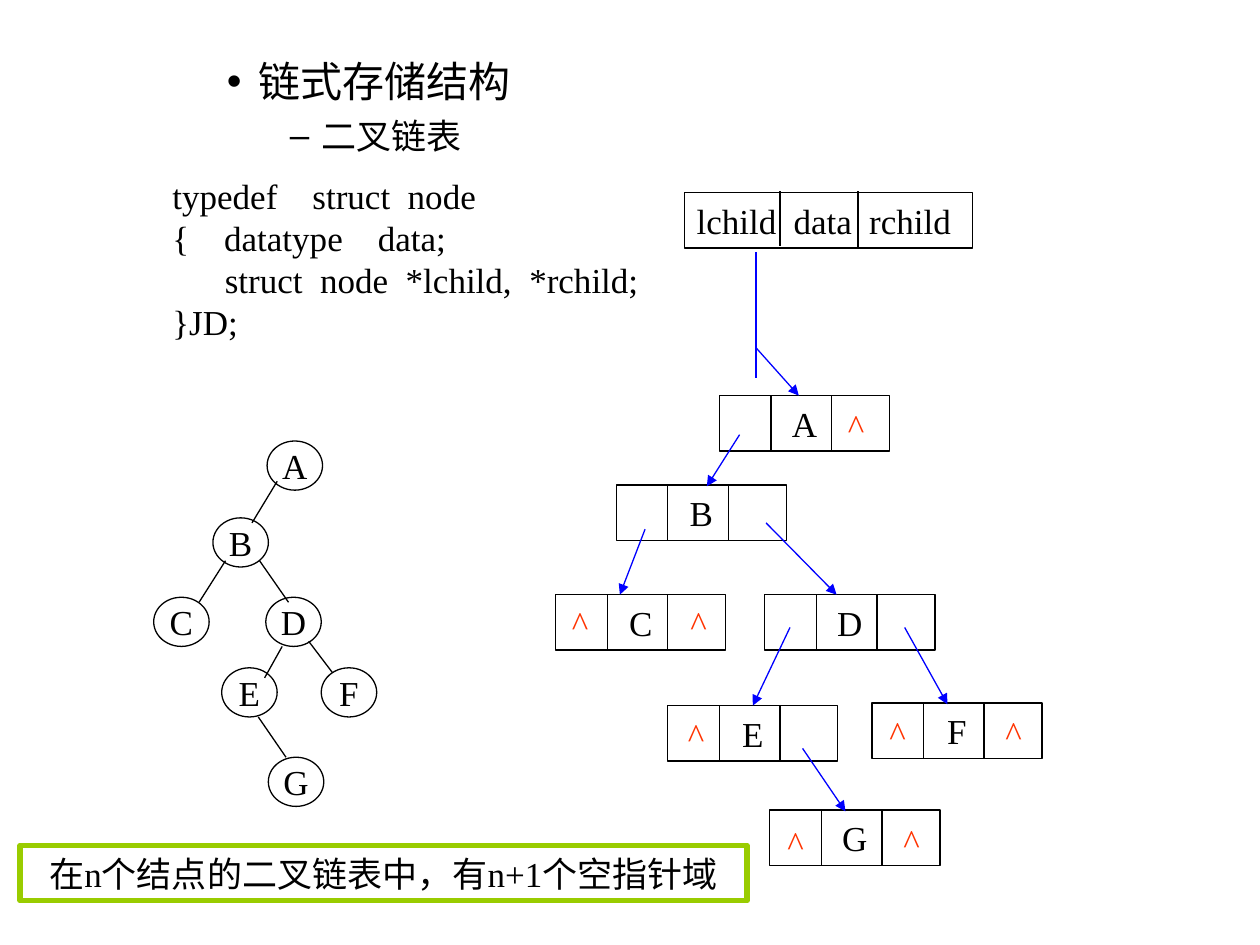
import pptx
import pptx.util
import pptx.dml.color
import pptx.enum.shapes
import pptx.enum.text
import pptx.oxml.ns
from lxml import etree

Inches, Pt = pptx.util.Inches, pptx.util.Pt
SHAPE = pptx.enum.shapes.MSO_SHAPE
ALIGN = pptx.enum.text.PP_ALIGN
qn = pptx.oxml.ns.qn
BLACK, BLUE, RED, GREEN = "000000", "0000FF", "FF3300", "99CC00"
SERIF = "Times New Roman"

# Content: (text, level, size, bullet, left margin, space before)
OUTLINE = [("链式存储结构", 2, 24, "•", 1.25, 0),
           ("二叉链表", 3, 20, "–", 1.75, 5)]
CODE = ["typedef    struct  node",
        "{    datatype    data;",
        "      struct  node  *lchild,  *rchild;",
        "}JD;"]
FIELDS = ["lchild", "data", "rchild"]
FIELD_TABS = [0.77, 1.37]
CONCLUSION = "在n个结点的二叉链表中，有n+1个空指针域"

# Binary tree: left and top of each circle, then the edges
TREE = {"A": (2.12, 3.5), "B": (1.69, 4.11), "C": (1.22, 4.74), "D": (2.11, 4.74),
        "E": (1.76, 5.3), "F": (2.55, 5.3), "G": (2.13, 6.01)}
EDGES = [(2.2, 3.82, 2, 4.15), (1.79, 4.45, 1.58, 4.78), (2.06, 4.45, 2.29, 4.78),
         (2.24, 5.13, 2.1, 5.38), (2.45, 5.09, 2.64, 5.34), (2.05, 5.69, 2.27, 6.01)]

# Linked list: left and top of each record, then offsets of its null marks
RECORD_W, RECORD_H = 1.35, 0.44
DIVIDERS = (0.41, 0.89)
RECORDS = {"A": (5.71, 3.14, [(0.92, 0.02)]),
           "B": (4.89, 3.85, []),
           "C": (4.41, 4.72, [(0.03, 0), (0.97, 0)]),
           "D": (6.07, 4.72, []),
           "E": (5.3, 5.6, [(0.06, 0.01)]),
           "F": (6.92, 5.58, [(0.04, 0.01), (0.96, 0.01)]),
           "G": (6.11, 6.43, [(0.04, 0.04), (0.96, 0.02)])}
POINTERS = {"A": (6, 2.76, 6.34, 3.14), "B": (5.87, 3.45, 5.61, 3.86),
            "C": (5.12, 4.2, 4.92, 4.72), "D": (6.08, 4.15, 6.64, 4.72),
            "E": (6.27, 4.98, 5.96, 5.59), "F": (7.18, 4.98, 7.52, 5.59),
            "G": (6.37, 5.94, 6.71, 6.44)}
ROOT_CURVE = [[(6.02, 2.37), (6.06, 2.43), (6.1, 2.49), (6.1, 2.56)],
              [(6.1, 2.56), (6.09, 2.62), (6.01, 2.73), (5.98, 2.76)]]

prs = pptx.Presentation()
prs.slide_width, prs.slide_height = Inches(10), Inches(7.5)
slide = prs.slides.add_slide(prs.slide_layouts[1])


def rgb(color):
    return pptx.dml.color.RGBColor.from_string(color)


def add_run(paragraph, text, size=20, color=BLACK, font=SERIF):
    run = paragraph.add_run()
    run.text = text
    run.font.size, run.font.name = Pt(size), font
    run.font.color.rgb = rgb(color)


def write(shape, lines, color=BLACK, align=ALIGN.CENTER):
    frame = shape.text_frame
    frame.word_wrap = False
    frame.vertical_anchor = pptx.enum.text.MSO_ANCHOR.MIDDLE
    for i, line in enumerate(lines):
        paragraph = frame.add_paragraph() if i else frame.paragraphs[0]
        paragraph.alignment = align
        add_run(paragraph, line, color=color)


def add_text(box, lines, color=BLACK, align=ALIGN.CENTER):
    write(slide.shapes.add_textbox(*map(Inches, box)), lines, color, align)


def outline(shape, color, width):
    shape.shadow.inherit = False
    shape.fill.background()
    shape.line.color.rgb = rgb(color)
    shape.line.width = Pt(width)


def add_box(kind, box, text, color=BLACK, width=0.75, align=ALIGN.CENTER):
    shape = slide.shapes.add_shape(kind, *map(Inches, box))
    outline(shape, color, width)
    write(shape, [text], align=align)
    return shape


def add_line(ends, color=BLACK, arrow=False):
    line = slide.shapes.add_connector(
        pptx.enum.shapes.MSO_CONNECTOR.STRAIGHT, *map(Inches, ends))
    line.line.color.rgb = rgb(color)
    line.line.width = Pt(0.75)
    if arrow:
        etree.SubElement(line.line._get_or_add_ln(), qn("a:tailEnd"), type="triangle")
    etree.SubElement(line._element.spPr, qn("a:effectLst"))
    return line


# Heading list
title = slide.shapes.title
title._element.getparent().remove(title._element)
body = slide.placeholders[1]
body.left, body.top, body.width, body.height = map(Inches, (0.7, 0.39, 9.3, 0.86))
for i, (text, level, size, bullet, margin, before) in enumerate(OUTLINE):
    item = body.text_frame.add_paragraph() if i else body.text_frame.paragraphs[0]
    item.level = level
    props = item._p.get_or_add_pPr()
    props.set("marL", str(Inches(margin)))
    props.set("indent", str(Inches(-0.25)))
    etree.SubElement(props, qn("a:buChar"), char=bullet)
    item.space_before = Pt(before)
    add_run(item, text, size, font="Arial")

# Type definition
add_text((1.27, 1.33, 3.9, 1.44), CODE, align=ALIGN.LEFT)

# Record layout with its three fields
layout_box = add_box(SHAPE.RECTANGLE, (5.43, 1.53, 2.29, 0.44), "\t".join(FIELDS),
                     align=ALIGN.LEFT)
tabs = etree.SubElement(layout_box.text_frame.paragraphs[0]._p.get_or_add_pPr(),
                        qn("a:tabLst"))
for stop in FIELD_TABS:
    etree.SubElement(tabs, qn("a:tab"), pos=str(Inches(stop)), algn="l")
for x, bottom in ((6.19, 1.95), (6.81, 1.97)):
    add_line((x, 1.52, x, bottom))

# Binary tree
for name, (left, top) in TREE.items():
    add_box(SHAPE.OVAL, (left, top, 0.44, 0.39), name)
for edge in EDGES:
    add_line(edge)

# Conclusion
add_box(SHAPE.RECTANGLE, (0.16, 6.71, 5.77, 0.44), CONCLUSION, GREEN, 3)

# Linked records
record_boxes = {}
for name, (left, top, nulls) in RECORDS.items():
    record_boxes[name] = add_box(SHAPE.RECTANGLE, (left, top, RECORD_W, RECORD_H), name)
    for offset in DIVIDERS:
        add_line((left + offset, top, left + offset, top + RECORD_H))
    for dx, dy in nulls:
        add_text((left + dx, top + dy, 0.33, 0.44), ["^"], RED)

# Pointers, joined where the tip meets the middle of a record's top
for name, ends in POINTERS.items():
    pointer = add_line(ends, BLUE, arrow=True)
    if abs(ends[2] - RECORDS[name][0] - RECORD_W / 2) < 0.03:
        pointer.end_connect(record_boxes[name], 0)

# Curved tail of the root pointer
STEPS = 10
points = []
for p0, p1, p2, p3 in ROOT_CURVE:
    for t in (step / STEPS for step in range(STEPS + 1)):
        points.append([(1 - t) ** 3 * a + 3 * (1 - t) ** 2 * t * b
                       + 3 * (1 - t) * t ** 2 * c + t ** 3 * d
                       for a, b, c, d in zip(p0, p1, p2, p3)])
builder = slide.shapes.build_freeform(*points[0], scale=Inches(1))
builder.add_line_segments(points[1:], close=False)
outline(builder.convert_to_shape(), BLUE, 0.75)

prs.save("out.pptx")
